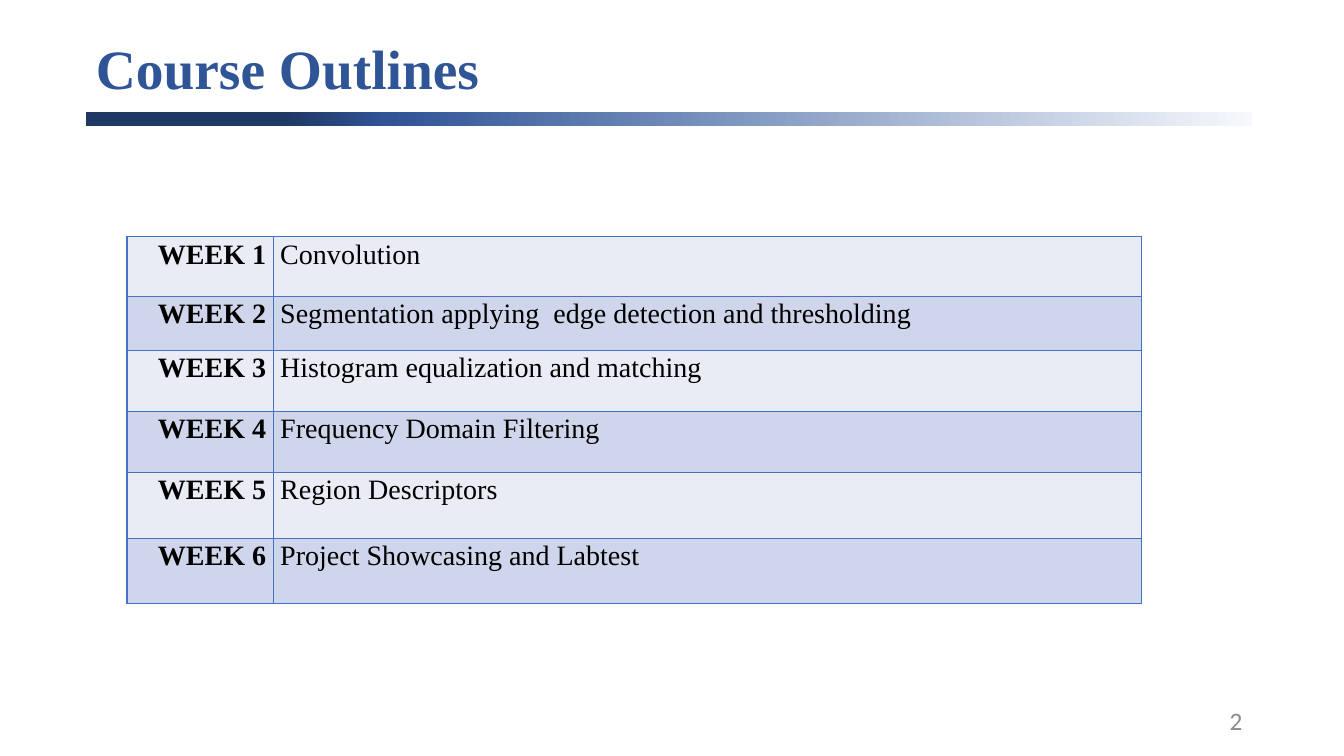
from lxml import etree
from pptx import Presentation
from pptx.dml.color import RGBColor
from pptx.enum.shapes import MSO_SHAPE
from pptx.enum.text import MSO_ANCHOR, PP_ALIGN
from pptx.oxml.ns import qn
from pptx.util import Inches, Pt

RECT = MSO_SHAPE.RECTANGLE
LEFT, RIGHT = PP_ALIGN.LEFT, PP_ALIGN.RIGHT
TOP, MID = MSO_ANCHOR.TOP, MSO_ANCHOR.MIDDLE

WIDE, HIGH = 13.33, 7.5
EDGE = 0.85
SPAN = WIDE - 2 * EDGE - 0.06
SERIF, SANS = "Times New Roman", "Calibri"
BLUE, NAVY, LINE = "2F5597", "203864", "4472C4"
BANDS = ("E9EBF5", "CFD5EA")
FADE = ((0, "F6F8FC"), (74, BLUE), (83, NAVY), (100, NAVY))
COLS = (1.45, 8.61)
ROWS = (0.59, 0.54, 0.6, 0.61, 0.65, 0.65)
TOPICS = (
    "Convolution",
    "Segmentation applying  edge detection and thresholding",
    "Histogram equalization and matching",
    "Frequency Domain Filtering",
    "Region Descriptors",
    "Project Showcasing and Labtest",
)


def paint(code):
    return RGBColor.from_string(code)


def write(frame, text, size=20, font=SERIF, color="000000", bold=False,
          align=LEFT, gap=1.0):
    para = frame.paragraphs[0]
    para.alignment = align
    para.line_spacing = gap
    run = para.add_run()
    run.text = text
    run.font.size = Pt(size)
    run.font.name = font
    run.font.bold = bold
    run.font.color.rgb = paint(color)


def solid(parent, code):
    fill = etree.SubElement(parent, qn("a:solidFill"))
    etree.SubElement(fill, qn("a:srgbClr"), val=code)


def fade(shape, stops, angle):
    shape.fill.gradient()
    shape.fill.gradient_angle = angle
    holder = shape._element.spPr.find(".//" + qn("a:gsLst"))
    for old in list(holder):
        holder.remove(old)
    for share, code in stops:
        stop = etree.SubElement(holder, qn("a:gs"), pos=str(share * 1000))
        etree.SubElement(stop, qn("a:srgbClr"), val=code)


def frame_cell(cell, code, width):
    props = cell._tc.get_or_add_tcPr()
    for side in ("L", "R", "T", "B"):
        edge = etree.SubElement(props, qn("a:ln" + side), w=str(Pt(width)))
        solid(edge, code)


def head(slide, left, top, width, height):
    title = slide.shapes.title
    title.left, title.top = Inches(left), Inches(top)
    title.width, title.height = Inches(width), Inches(0.69)
    title.text_frame.vertical_anchor = MID
    write(title.text_frame, "Course Outlines", size=39.6, color=BLUE,
          bold=True, gap=0.9)
    thick = 0.14
    bar = slide.shapes.add_shape(RECT, Inches(left), Inches(top + height - thick),
                                 Inches(width), Inches(thick))
    bar.shadow.inherit = False
    bar.line.fill.background()
    fade(bar, FADE, 180)


def plan(slide, left, top):
    table = slide.shapes.add_table(len(ROWS), len(COLS), Inches(left), Inches(top),
                                   Inches(sum(COLS)), Inches(sum(ROWS))).table
    table.first_row = table.horz_banding = False
    for col, width in zip(table.columns, COLS):
        col.width = Inches(width)
    for num, (row, height, topic) in enumerate(zip(table.rows, ROWS, TOPICS)):
        row.height = Inches(height)
        week, name = row.cells
        for cell in (week, name):
            cell.margin_left = cell.margin_right = Inches(0.07)
            cell.margin_top = cell.margin_bottom = 0
            cell.vertical_anchor = TOP
            frame_cell(cell, LINE, 1)
            cell.fill.solid()
            cell.fill.fore_color.rgb = paint(BANDS[num % 2])
        write(week.text_frame, f"WEEK {num + 1}", bold=True, align=RIGHT, gap=1.07)
        write(name.text_frame, topic, gap=1.07)


def foot(slide, left, top, width, height):
    box = slide.shapes.add_textbox(Inches(left), Inches(top),
                                   Inches(width), Inches(height))
    box.text_frame.word_wrap = True
    box.text_frame.vertical_anchor = MID
    write(box.text_frame, "2", size=18, font=SANS, color="8C8C8C", align=RIGHT)


def main():
    deck = Presentation()
    deck.slide_width, deck.slide_height = Inches(WIDE), Inches(HIGH)
    slide = deck.slides.add_slide(deck.slide_layouts[5])
    head(slide, EDGE, 0.36, SPAN, 0.89)
    plan(slide, 1.26, 2.35)
    foot(slide, EDGE + SPAN - 3, 6.95, 3, 0.4)
    deck.save("out.pptx")


if __name__ == "__main__":
    main()
